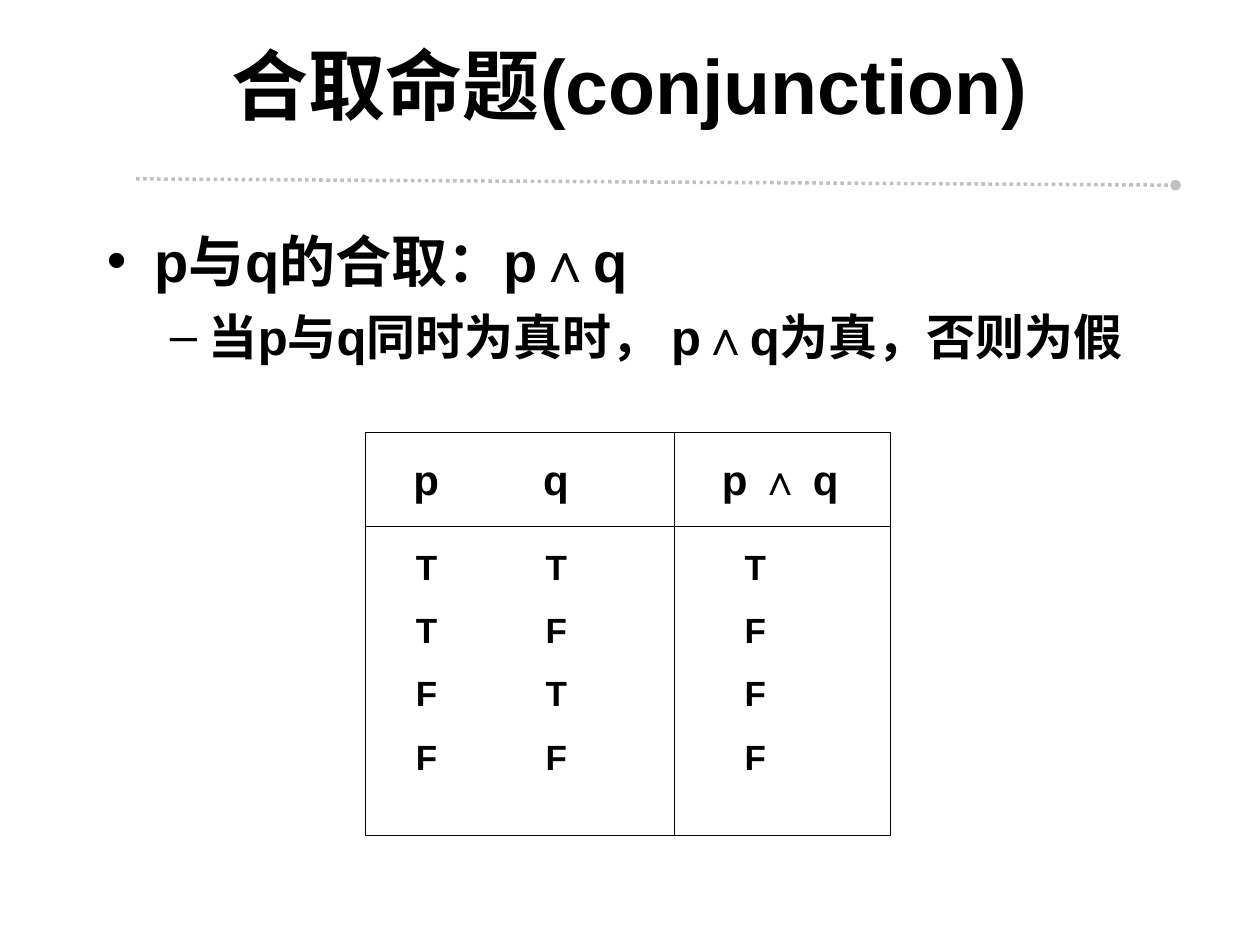
from lxml.etree import SubElement
from pptx import Presentation
from pptx.dml.color import RGBColor
from pptx.enum.dml import MSO_LINE
from pptx.enum.shapes import MSO_CONNECTOR
from pptx.enum.text import MSO_ANCHOR, PP_ALIGN
from pptx.oxml.ns import qn
from pptx.util import Inches, Pt

BLACK = RGBColor(0, 0, 0)
WHITE = RGBColor(255, 255, 255)
SILVER = RGBColor(192, 192, 192)


def add_span(para, text, size):
    span = para.add_run()
    span.text = text
    span.font.color.rgb = BLACK
    for name, value in {"name": "Arial", "size": Pt(size), "bold": True}.items():
        setattr(span.font, name, value)


deck = Presentation()
deck.slide_width, deck.slide_height = Inches(10), Inches(7.5)
page = deck.slides.add_slide(deck.slide_layouts[5])

rule = page.shapes.add_connector(
    MSO_CONNECTOR.STRAIGHT, Inches(1.08), Inches(1.42), Inches(9.33), Inches(1.47)
)
rule.line.color.rgb = SILVER
rule.line.width = Pt(2)
rule.line.dash_style = MSO_LINE.ROUND_DOT
SubElement(rule.line._get_or_add_ln(), qn("a:tailEnd"), type="oval")
SubElement(rule._element.spPr, qn("a:effectLst"))

title = page.shapes.title
for name, value in {"left": 0.75, "top": 0.25, "width": 8.5, "height": 1.25}.items():
    setattr(title, name, Inches(value))
title.text_frame.vertical_anchor = MSO_ANCHOR.TOP
heading = title.text_frame.paragraphs[0]
heading.alignment = PP_ALIGN.CENTER
add_span(heading, "合取命题(conjunction)", 44)

body = page.shapes.add_textbox(Inches(0.75), Inches(1.75), Inches(8.5), Inches(4.88))
frame = body.text_frame
frame.word_wrap = True
points = [
    ("p与q的合取：p∧q", 32, 0, "•", 0.38, -0.38),
    ("当p与q同时为真时， p∧q为真，否则为假", 28, 1, "–", 0.81, -0.31),
]
for index, (text, size, level, bullet, margin, indent) in enumerate(points):
    para = frame.add_paragraph() if index else frame.paragraphs[0]
    para.level = level
    properties = para._p.get_or_add_pPr()
    properties.set("marL", str(Inches(margin)))
    properties.set("indent", str(Inches(indent)))
    SubElement(properties, qn("a:buFont"), typeface="Arial")
    SubElement(properties, qn("a:buChar"), char=bullet)
    if index:
        para.space_before = Pt(7)
    add_span(para, text, size)

table = page.shapes.add_table(
    2, 2, Inches(2.9), Inches(3.43), Inches(4.17), Inches(3.2)
).table
table.first_row = table.horz_banding = False
for column, width in zip(table.columns, (2.45, 1.72)):
    column.width = Inches(width)
for row, height in zip(table.rows, (0.75, 2.45)):
    row.height = Inches(height)

truth_table = [
    (24, [(0.38, ["p\tq"]), (0.38, ["p ∧ q"])]),
    (20, [(0.4, ["T\tT", "T\tF", "F\tT", "F\tF"]), (0.56, ["T", "F", "F", "F"])]),
]
for row_index, (size, cells) in enumerate(truth_table):
    for column_index, (margin, lines) in enumerate(cells):
        cell = table.cell(row_index, column_index)
        cell.margin_left = Inches(margin)
        properties = cell._tc.get_or_add_tcPr()
        for side in ("lnL", "lnR", "lnT", "lnB"):
            border = SubElement(properties, qn(f"a:{side}"), w=str(Pt(0.45)))
            fill = SubElement(border, qn("a:solidFill"))
            SubElement(fill, qn("a:srgbClr"), val=str(BLACK))
        cell.fill.solid()
        cell.fill.fore_color.rgb = WHITE
        for index, line in enumerate(lines):
            para = cell.text_frame.add_paragraph() if index else cell.text_frame.paragraphs[0]
            if "\t" in line:
                tabs = SubElement(para._p.get_or_add_pPr(), qn("a:tabLst"))
                SubElement(tabs, qn("a:tab"), pos=str(Inches(1.03)), algn="l")
            para.line_spacing = 1.4
            if index:
                para.space_before = Pt(5)
            add_span(para, line, size)

deck.save("out.pptx")
